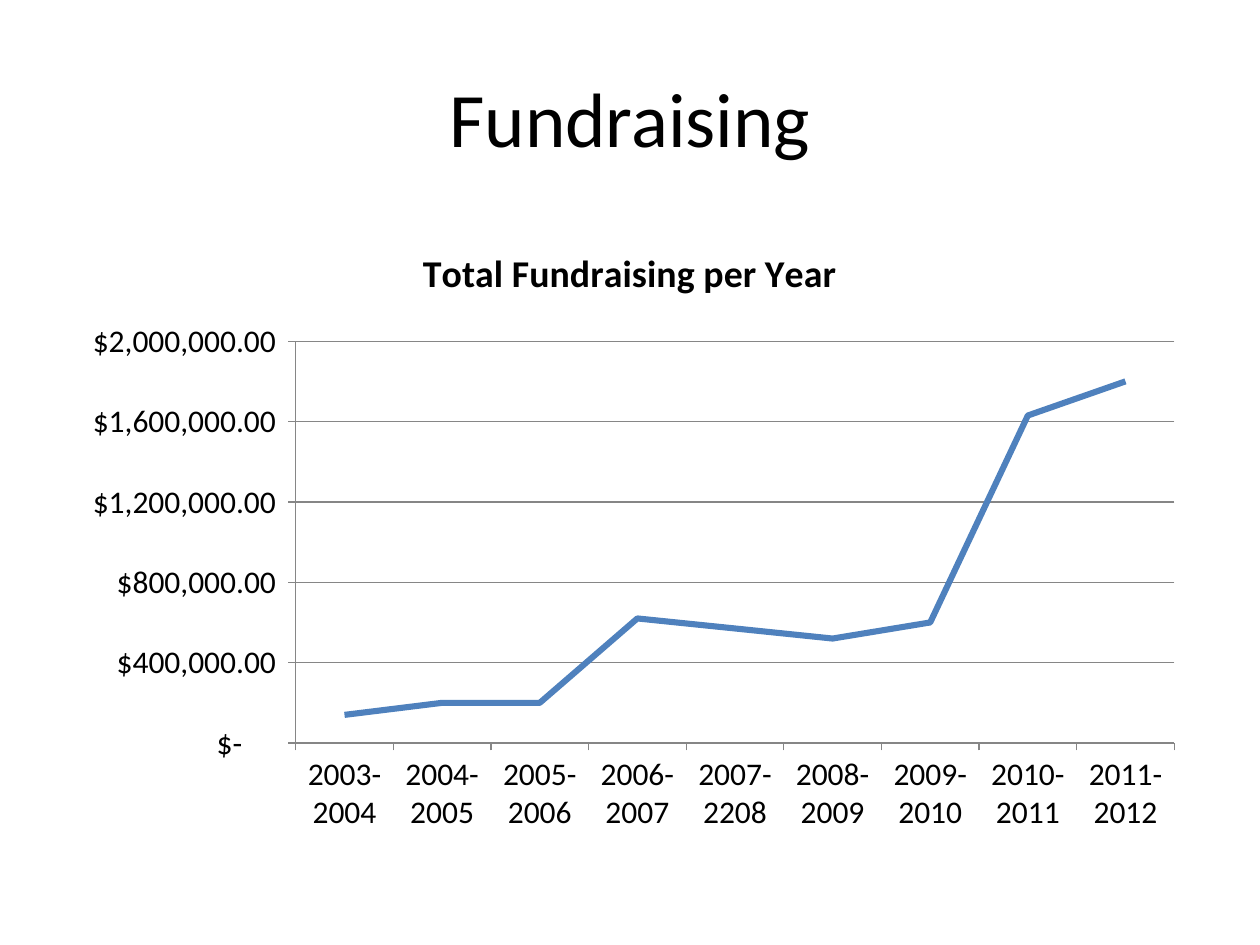
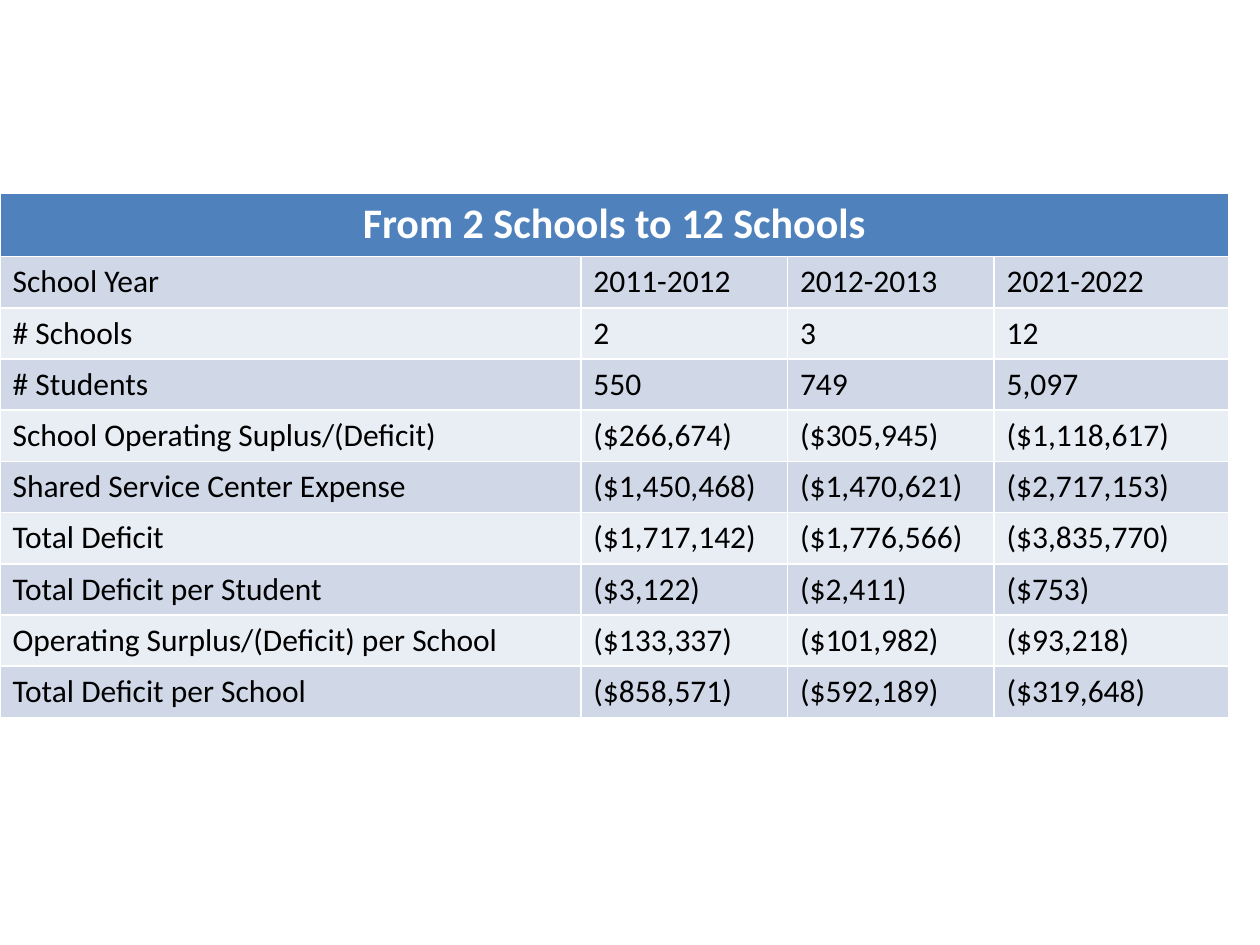
from pptx import Presentation
from pptx import util as u
from pptx.chart import data as chart_data
from pptx.dml.color import RGBColor
from pptx.enum import chart as ch, text

COLORS = {
    "ink": "000000", "white": "FFFFFF", "blue": "4F81BD", "axis": "868686",
    "band_dark": "D0D8E8", "band_light": "E9EDF4",
}
FONT = "Calibri"


def rgb(name):
    return RGBColor.from_string(COLORS[name])


def style_font(font, size, color="ink", bold=False):
    font.name = FONT
    font.size = u.Pt(size)
    font.bold = bold
    font.color.rgb = rgb(color)


prs = Presentation()
prs.slide_width, prs.slide_height = u.Inches(10), u.Inches(7.5)
title_only, blank = prs.slide_layouts[5], prs.slide_layouts[6]

# Slide 1: fundraising title
fundraising = prs.slides.add_slide(title_only)
heading = fundraising.shapes.title
heading.left, heading.top = u.Inches(0.5), u.Inches(0.3)
heading.width, heading.height = u.Inches(9), u.Inches(1.25)
heading.text_frame.vertical_anchor = text.MSO_ANCHOR.MIDDLE
paragraph = heading.text_frame.paragraphs[0]
paragraph.alignment = text.PP_ALIGN.CENTER
run = paragraph.add_run()
run.text = "Fundraising"
style_font(run.font, 44)

# Yearly totals
TOTALS_TITLE = "Total Fundraising per Year"
totals = chart_data.CategoryChartData()
totals.categories = ["2003-2004", "2004-2005", "2005-2006", "2006-2007", "2007-2208",
                     "2008-2009", "2009-2010", "2010-2011", "2011-2012"]
totals.add_series(TOTALS_TITLE, [140000, 200000, 200000, 620000, 570000,
                                 520000, 600000, 1630000, 1800000])
chart = fundraising.shapes.add_chart(
    ch.XL_CHART_TYPE.LINE, u.Inches(0.5), u.Inches(1.75),
    u.Inches(9), u.Inches(4.95), totals).chart
style_font(chart.font, 18)
chart.has_legend = False
chart.has_title = True
run = chart.chart_title.text_frame.paragraphs[0].add_run()
run.text = TOTALS_TITLE
style_font(run.font, 21.6, bold=True)

chart.plots[0].vary_by_categories = False
trend = chart.plots[0].series[0]
trend.smooth = False
trend.marker.style = ch.XL_MARKER_STYLE.NONE
trend.format.line.color.rgb = rgb("blue")
trend.format.line.width = u.Pt(3.5)

# Axes and gridlines
years, dollars = chart.category_axis, chart.value_axis
dollars.minimum_scale, dollars.maximum_scale = 0, 2000000
dollars.major_unit = 400000
dollars.has_major_gridlines = True
dollars.tick_labels.number_format = (
    r'_([$$-409]* #,##0.00_);_([$$-409]* \(#,##0.00\);_([$$-409]* "-"??_);_(@_)')
dollars.tick_labels.number_format_is_linked = False
for axis in (years, dollars):
    axis.major_tick_mark = ch.XL_TICK_MARK.OUTSIDE
    axis.minor_tick_mark = ch.XL_TICK_MARK.NONE
for line in (years.format.line, dollars.format.line, dollars.major_gridlines.format.line):
    line.color.rgb = rgb("axis")
    line.width = u.Pt(0.75)

# Slide 2: growth from 2 to 12 schools
growth = prs.slides.add_slide(blank)
BUDGET = [
    ("From 2 Schools to 12 Schools",),
    ("School Year", "2011-2012", "2012-2013", "2021-2022"),
    ("# Schools", "2", "3", "12"),
    ("# Students", "550", "749", "5,097"),
    ("School Operating Suplus/(Deficit)", "($266,674)", "($305,945)", "($1,118,617)"),
    ("Shared Service Center Expense", "($1,450,468)", "($1,470,621)", "($2,717,153)"),
    ("Total Deficit", "($1,717,142)", "($1,776,566)", "($3,835,770)"),
    ("Total Deficit per Student", "($3,122)", "($2,411)", "($753)"),
    ("Operating Surplus/(Deficit) per School", "($133,337)", "($101,982)", "($93,218)"),
    ("Total Deficit per School", "($858,571)", "($592,189)", "($319,648)"),
]
COLUMN_WIDTHS = [4.61, 1.64, 1.64, 1.86]
budget = growth.shapes.add_table(
    len(BUDGET), len(COLUMN_WIDTHS), u.Inches(0), u.Inches(1.53),
    u.Inches(9.75), u.Inches(4.15)).table
for column, width in zip(budget.columns, COLUMN_WIDTHS):
    column.width = u.Inches(width)
budget.cell(0, 0).merge(budget.cell(0, len(COLUMN_WIDTHS) - 1))

# Header row, then alternating bands
for r, values in enumerate(BUDGET):
    is_header = r == 0
    band = "blue" if is_header else "band_dark" if r % 2 else "band_light"
    budget.rows[r].height = u.Inches(0.49) if is_header else u.Inches(3.66) // 9
    for c, value in enumerate(values):
        cell = budget.cell(r, c)
        cell.fill.solid()
        cell.fill.fore_color.rgb = rgb(band)
        paragraph = cell.text_frame.paragraphs[0]
        run = paragraph.add_run()
        run.text = value
        if is_header:
            paragraph.alignment = text.PP_ALIGN.CENTER
            style_font(run.font, 24, "white", bold=True)
        else:
            style_font(run.font, 18)

prs.save("out.pptx")
